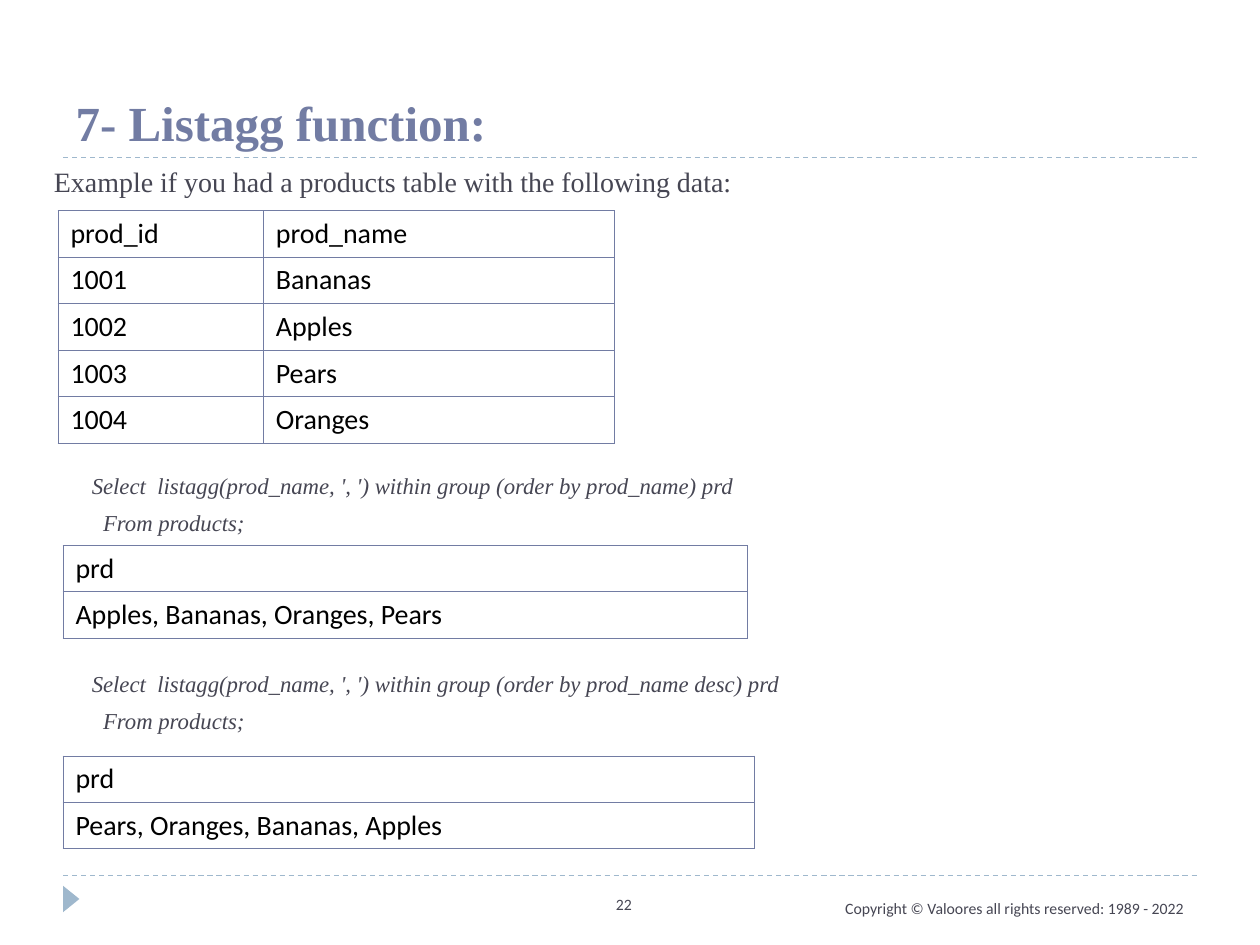
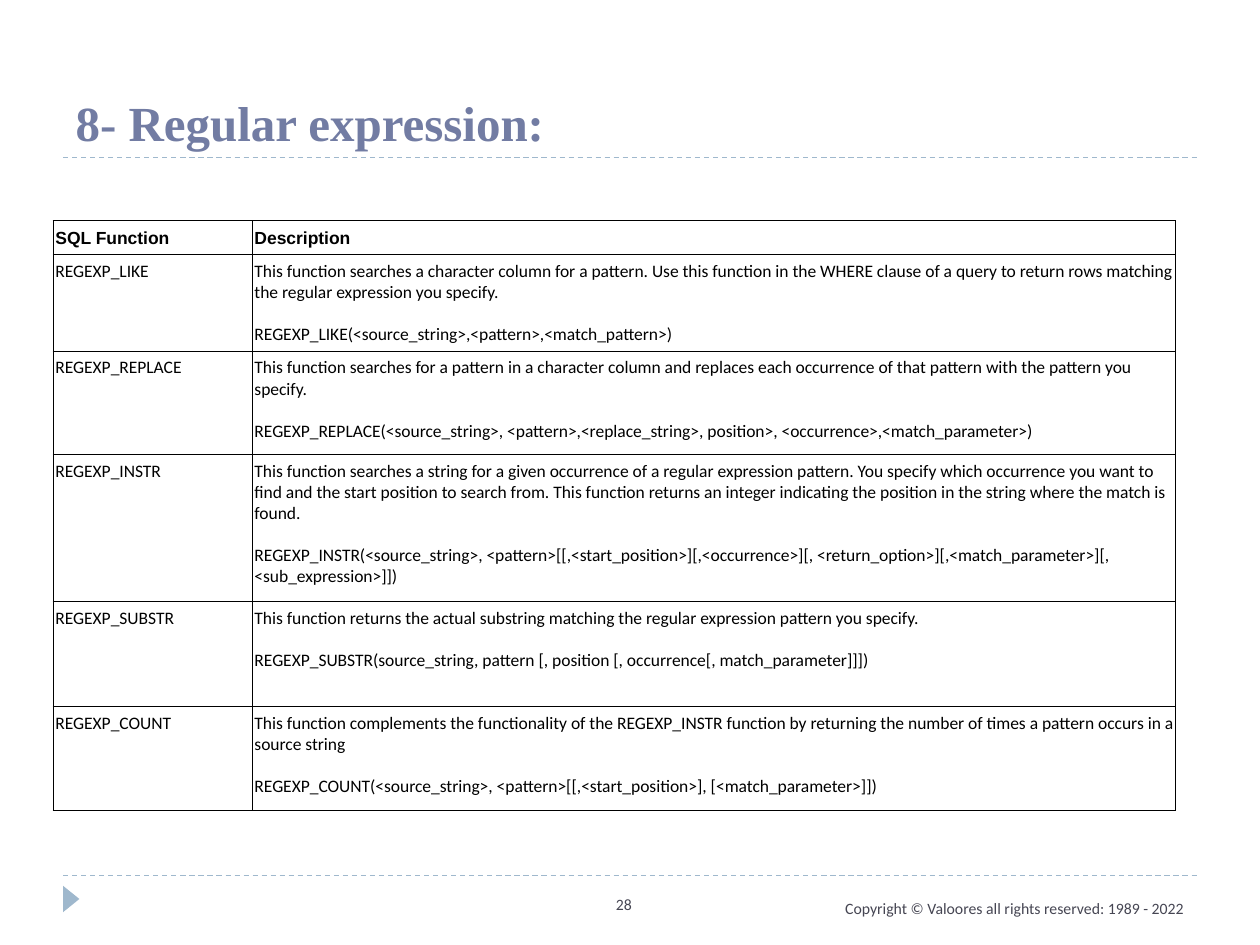
from pptx import Presentation
from pptx.dml.color import RGBColor as Color
from pptx.enum.dml import MSO_LINE_DASH_STYLE as Dash
from pptx.enum.shapes import MSO_CONNECTOR as Connector, MSO_SHAPE as Shape
from pptx.enum.text import MSO_ANCHOR as Anchor, MSO_AUTO_SIZE as AutoSize, PP_ALIGN as Align
from pptx.oxml import parse_xml
from pptx.oxml.ns import nsdecls, qn
from pptx.oxml.xmlchemy import OxmlElement
from pptx.util import Inches, Pt

COLORS = {"title": "727CA3", "body": "464653", "accent": "9FB8CD", "black": "000000"}
SERIF, SANS, HEADING = "Times New Roman", "Calibri", "Arial"
COPYRIGHT = "Copyright © Valoores all rights reserved: 1989 - 2022"

deck = Presentation()
deck.slide_width, deck.slide_height = Inches(10), Inches(7.5)
COLUMN, ROW = deck.slide_width // 100, deck.slide_height // 75


def place(left, top, width, height):
    return [int(left * COLUMN), int(top * ROW), int(width * COLUMN), int(height * ROW)]


def style(paragraph, font, size, color, bold=False, italic=False, before=0):
    paragraph.alignment = Align.LEFT
    paragraph.space_before = Pt(before)
    for span in paragraph.runs:
        span.font.name, span.font.size = font, Pt(size)
        span.font.bold, span.font.italic = bold, italic
        span.font.color.rgb = Color.from_string(COLORS[color])


products = [
    ("prod_id", "prod_name"),
    ("1001", "Bananas"),
    ("1002", "Apples"),
    ("1003", "Pears"),
    ("1004", "Oranges"),
]
regexp_functions = [
    ("SQL Function", "Description"),
    ("REGEXP_LIKE",
     "This function searches a character column for a pattern. Use this function in the WHERE clause "
     "of a query to return rows matching the regular expression you specify.\n"
     "REGEXP_LIKE(<source_string>,<pattern>,<match_pattern>)"),
    ("REGEXP_REPLACE",
     "This function searches for a pattern in a character column and replaces each occurrence "
     "of that pattern with the pattern you specify.\n"
     "REGEXP_REPLACE(<source_string>, <pattern>,<replace_string>, position>, "
     "<occurrence>,<match_parameter>)"),
    ("REGEXP_INSTR",
     "This function searches a string for a given occurrence of a regular expression pattern. "
     "You specify which occurrence you want to find and the start position to search from. "
     "This function returns an integer indicating the position in the string where the match is found.\n"
     "REGEXP_INSTR(<source_string>, <pattern>[[,<start_position>][,<occurrence>]"
     "[, <return_option>][,<match_parameter>][, <sub_expression>]])"),
    ("REGEXP_SUBSTR",
     "This function returns the actual substring matching the regular expression pattern you specify.\n"
     "REGEXP_SUBSTR(source_string, pattern [, position [, occurrence[, match_parameter]]])"),
    ("REGEXP_COUNT",
     "This function complements the functionality of the REGEXP_INSTR function by returning "
     "the number of times a pattern occurs in a source string\n"
     "REGEXP_COUNT(<source_string>, <pattern>[[,<start_position>], [<match_parameter>]])"),
]

pages = []
for title_text, number in [("7- Listagg function:", "22"), ("8- Regular expression:", "28")]:
    page = deck.slides.add_slide(deck.slide_layouts[5])
    pages.append(page)

    for level in (69.5, 12.5):
        left, top, width, _ = place(5, level, 90, 0)
        rule = page.shapes.add_connector(Connector.STRAIGHT, left, top, left + width, top)
        rule.line.color.rgb = Color.from_string(COLORS["accent"])
        rule.line.width = Pt(0.75)
        rule.line.dash_style = Dash.DASH
        rule._element.spPr.append(OxmlElement("a:effectLst"))

    marker = page.shapes.add_shape(Shape.ISOSCELES_TRIANGLE, *place(4.6, 70.7, 2.1, 1.3))
    marker.rotation = 90
    marker.shadow.inherit = False
    marker.fill.solid()
    marker.fill.fore_color.rgb = Color.from_string(COLORS["accent"])
    marker.line.fill.background()

    title = page.shapes.title
    title.left, title.top, title.width, title.height = place(5, 1.7, 90, 10.8)
    title.text_frame.text = title_text
    title.text_frame.auto_size = AutoSize.NONE
    title.text_frame.vertical_anchor = Anchor.BOTTOM
    style(title.text_frame.paragraphs[0], SERIF, 28, "title", bold=True)

    for text, area, wrap in [
        (COPYRIGHT, (66.1, 70.8, 29, 2.5), False),
        (number, (47.9, 70.5, 4.2, 3.5), True),
    ]:
        box = page.shapes.add_textbox(*place(*area))
        box.text_frame.word_wrap = wrap
        box.text_frame.text = text
        style(box.text_frame.paragraphs[0], SANS, 9, "body")

listagg_page, regexp_page = pages

example = listagg_page.shapes.add_textbox(*place(3.3, 12.6, 92.5, 56.9)).text_frame
example.word_wrap = True
example.text = "Example if you had a products table with the following data:"
style(example.paragraphs[0], SERIF, 16, "body")
for code, before in [
    ("Select  listagg(prod_name, ', ') within group (order by prod_name) prd", 156),
    ("  From products;", 5.6),
    ("Select  listagg(prod_name, ', ') within group (order by prod_name desc) prd", 76.5),
    ("  From products;", 5.6),
]:
    para = example.add_paragraph()
    para.text = code
    para._p.get_or_add_pPr().set("marL", str(3 * COLUMN))
    style(para, SERIF, 13, "body", italic=True, before=before)

ascending = [("prd",), ("Apples, Bananas, Oranges, Pears",)]
descending = [("prd",), ("Pears, Oranges, Bananas, Apples",)]
for page, data, left, top, widths, heights in [
    (listagg_page, products, 4.6, 16.7, (16.3, 27.9), [3.7] * 5),
    (listagg_page, ascending, 5, 43.3, (54.3,), [3.65] * 2),
    (listagg_page, descending, 5, 60, (54.9,), [3.65] * 2),
    (regexp_page, regexp_functions, 4.2, 17.5, (15.8, 73.3), (2.5, 7.6, 8.2, 11.7, 8.3, 8.3)),
]:
    reference = page is regexp_page
    size = 10 if reference else 16
    border = COLORS["black" if reference else "title"]
    area = place(left, top, sum(widths), sum(heights))
    table = page.shapes.add_table(len(data), len(widths), *area).table
    table.first_row = table.horz_banding = False
    for column, width in zip(table.columns, widths):
        column.width = int(width * COLUMN)
    for index, (row, height, texts) in enumerate(zip(table.rows, heights, data)):
        row.height = int(height * ROW)
        header = reference and index == 0
        for cell, text in zip(row.cells, texts):
            cell.text_frame.text = text
            cell.margin_left = cell.margin_right = int((0.2 if reference else 1) * COLUMN)
            cell.vertical_anchor = Anchor.MIDDLE
            if reference:
                cell.vertical_anchor = Anchor.BOTTOM if header else Anchor.TOP
            cell.fill.background()
            for order, para in enumerate(cell.text_frame.paragraphs):
                style(para, HEADING if header else SANS, size, "black", bold=header, before=12 * order)
            properties = cell._tc.get_or_add_tcPr()
            for position, edge in enumerate(("lnL", "lnR", "lnT", "lnB")):
                properties.insert(position, parse_xml(
                    f'<a:{edge} {nsdecls("a")} w="{Pt(0.45)}"><a:solidFill>'
                    f'<a:srgbClr val="{border}"/></a:solidFill></a:{edge}>'))

deck.save("out.pptx")
